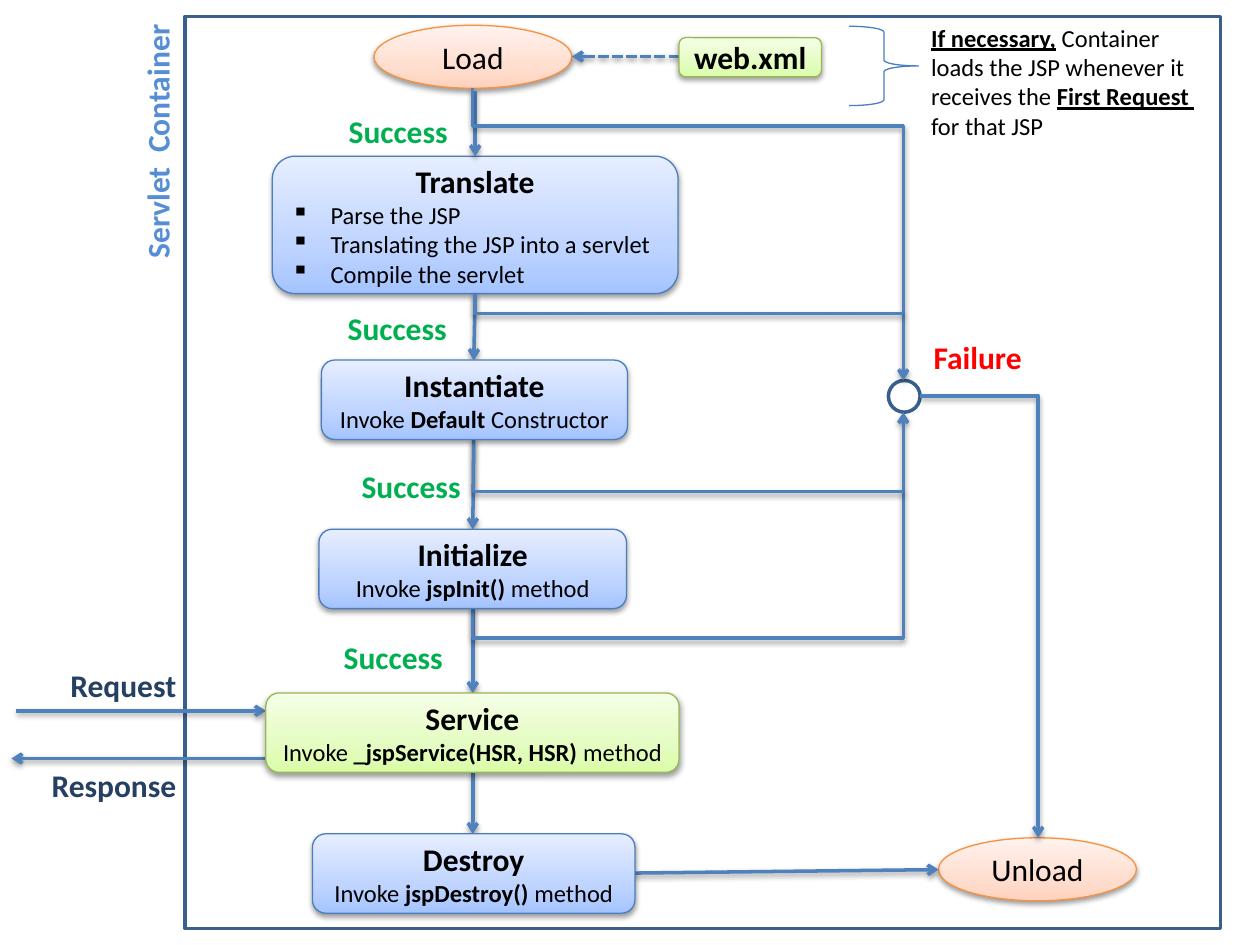
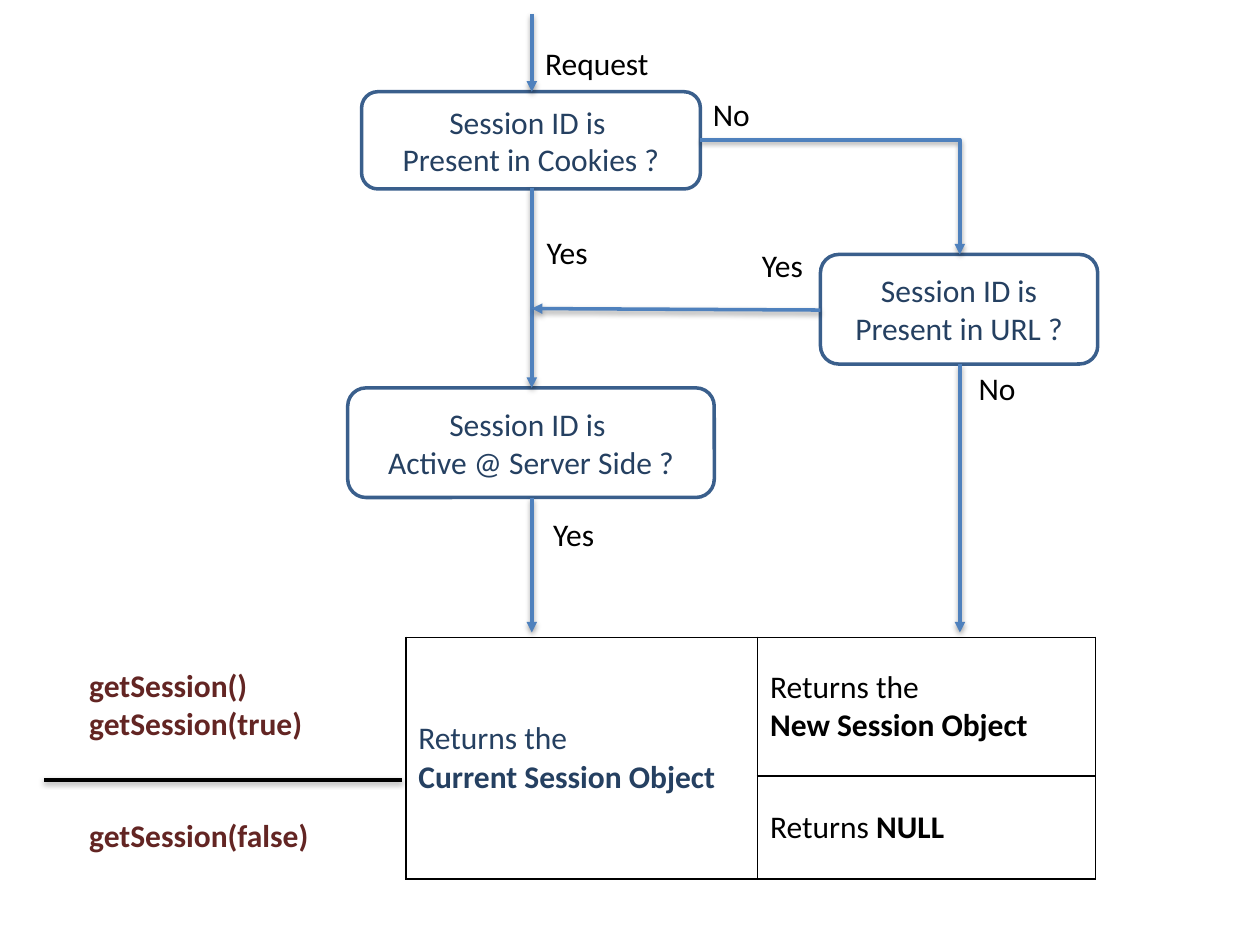
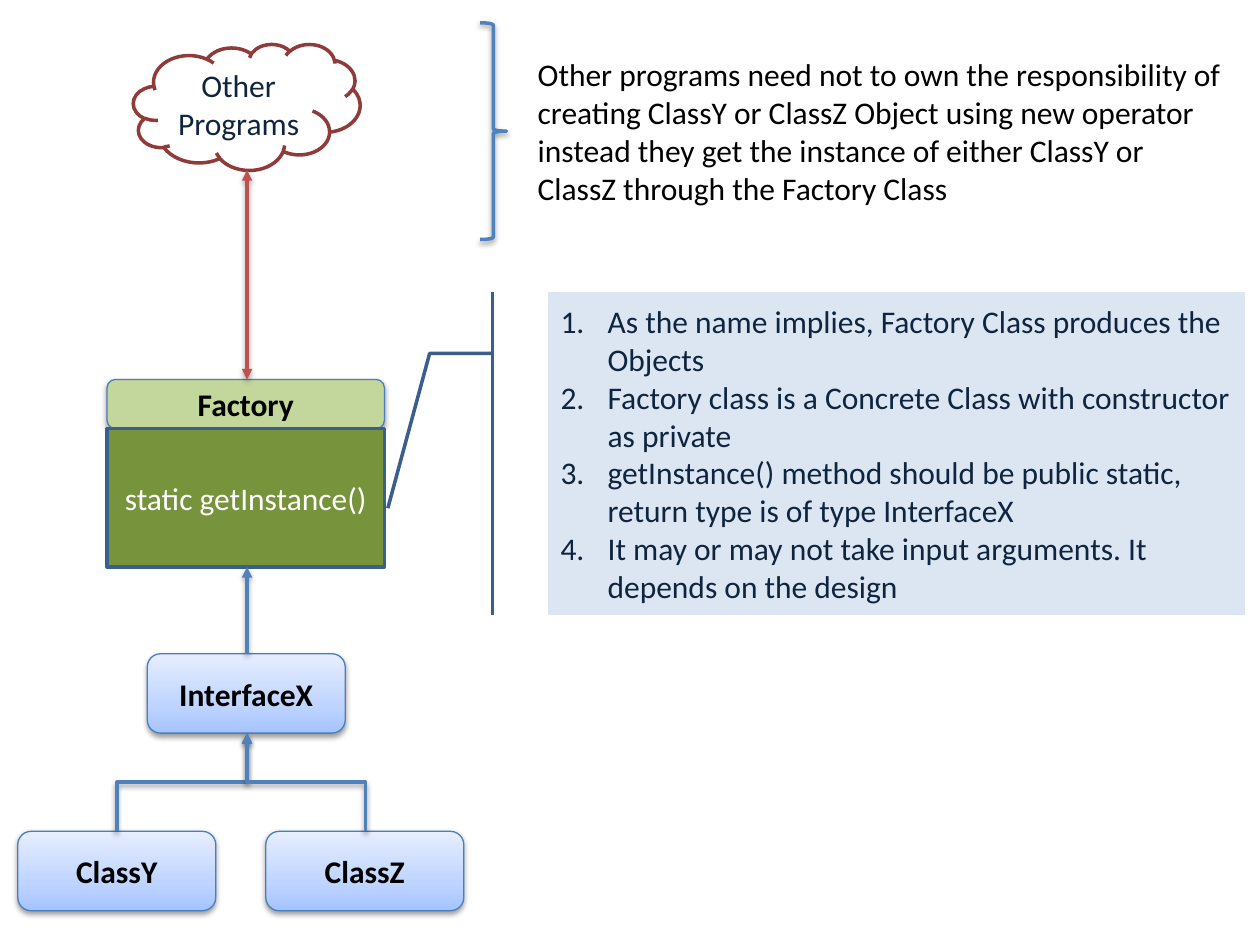
import copy

import lxml.etree
import pptx
import pptx.dml.color
import pptx.enum.dml
import pptx.enum.shapes
import pptx.enum.text
import pptx.oxml.ns
import pptx.util

Cm = pptx.util.Cm
Pt = pptx.util.Pt
Shape = pptx.enum.shapes.MSO_SHAPE
Link = pptx.enum.shapes.MSO_CONNECTOR
Align = pptx.enum.text.PP_ALIGN
qn = pptx.oxml.ns.qn

HUES = {
    "black": "000000", "white": "FFFFFF", "blue": "4F81BD", "edge": "3A5F8C",
    "thin": "4B7EBC", "sky": "558ED5", "navy": "254061", "ink": "0F243E",
    "red": "FF0000", "rose": "C0504D", "brick": "8E3B39", "wine": "632523",
    "green": "00B050", "lime": "98B955", "leaf": "C3D69B", "moss": "77933C",
    "peach": "F69240", "pale": "DCE6F2",
}
FADES = {
    "thin": ("A4C4FF", "BFD4FF", "E6EEFF"),
    "peach": ("FFD2BD", "FFDED0", "FFF2ED"),
    "lime": ("DAFDA7", "E4FCC2", "F5FFE7"),
}


def tint(name):
    return pptx.dml.color.RGBColor.from_string(HUES.get(name, name))


def child(node, tag, **attrs):
    return lxml.etree.SubElement(node, qn(tag), attrs)


class Deck:
    font = "Calibri"
    size = 18
    thick = 2

    def __init__(self):
        self.show = pptx.Presentation()
        self.show.slide_width = Cm(25.4)
        self.show.slide_height = Cm(19.05)
        self.slide = None

    def page(self):
        self.slide = self.show.slides.add_slide(self.show.slide_layouts[6])

    def put(self, frame, text, hue="black", size=None, bold=False,
            align=Align.LEFT, mark=None, under=False):
        for line in text.split("\n"):
            para = frame.add_paragraph() if frame.text else frame.paragraphs[0]
            para.alignment = align
            if mark:
                self.bullet(para, *mark)
            parts = line.split("|")
            for spot, part in enumerate(parts):
                if part:
                    run = para.add_run()
                    run.text = part
                    if len(parts) > 1:
                        run.font.bold = spot % 2 == 1
                        run.font.underline = under and spot % 2 == 1
            para.font.name = self.font
            para.font.size = Pt(size or self.size)
            para.font.color.rgb = tint(hue)
            if len(parts) == 1:
                para.font.bold = bold

    def bullet(self, para, indent, tag, attrs):
        props = para._p.get_or_add_pPr()
        props.set("marL", str(Cm(indent)))
        props.set("indent", str(-Cm(indent)))
        child(props, tag, **attrs)

    def shade(self, effect):
        glow = child(effect, "a:outerShdw", blurRad="40000", dist="20000",
                     dir="5400000", rotWithShape="0")
        child(child(glow, "a:srgbClr", val=HUES["black"]), "a:alpha", val="38000")

    def fade(self, shape, tones):
        shape.fill.gradient()
        shape.fill.gradient_angle = 90
        stops = shape._element.spPr.find(".//" + qn("a:gsLst"))
        stops.append(copy.deepcopy(stops[0]))
        for stop, tone, place in zip(shape.fill.gradient_stops, tones, (0, 0.35, 1)):
            stop.color.rgb = tint(tone)
            stop.position = place

    def form(self, kind, box, line="edge", width=None, fill=None, lift=False):
        shape = self.slide.shapes.add_shape(kind, *map(Cm, box))
        shape.shadow.inherit = False
        if lift:
            self.shade(shape._element.spPr.find(qn("a:effectLst")))
        if fill in FADES:
            self.fade(shape, FADES[fill])
        elif fill:
            shape.fill.solid()
            shape.fill.fore_color.rgb = tint(fill)
        else:
            shape.fill.background()
        shape.line.color.rgb = tint(line)
        shape.line.width = Pt(width or self.thick)
        shape.text_frame.word_wrap = True
        shape.text_frame.vertical_anchor = pptx.enum.text.MSO_ANCHOR.MIDDLE
        return shape

    def card(self, box, title, body=None, line="thin", fill="thin", mark=None):
        shape = self.form(Shape.FLOWCHART_ALTERNATE_PROCESS, box, line, 0.75, fill, True)
        self.put(shape.text_frame, title, bold=True, align=Align.CENTER)
        if body:
            self.put(shape.text_frame, body, size=14, mark=mark,
                     align=Align.LEFT if mark else Align.CENTER)

    def oval(self, left, top, text):
        shape = self.form(Shape.OVAL, (left, top, 3.99, 1.27), "peach", 0.75, "peach", True)
        self.put(shape.text_frame, text, align=Align.CENTER)

    def panel(self, kind, box, text, hue, **style):
        shape = self.form(kind, box, **style)
        self.put(shape.text_frame, text, hue, align=Align.CENTER)

    def label(self, box, text, hue="black", wrap=False, turn=0, **style):
        shape = self.slide.shapes.add_textbox(*map(Cm, box))
        shape.rotation = turn
        frame = shape.text_frame
        frame.word_wrap = wrap
        frame.auto_size = pptx.enum.text.MSO_AUTO_SIZE.SHAPE_TO_FIT_TEXT
        self.put(frame, text, hue, **style)

    def trim(self, link, hue, head, tail, dash=None):
        link.line.color.rgb = tint(hue)
        link.line.width = Pt(self.thick)
        if dash:
            link.line.dash_style = dash
        props = link._element.spPr
        for tag, tip in (("a:headEnd", head), ("a:tailEnd", tail)):
            if tip:
                child(props.find(qn("a:ln")), tag, type=tip)
        self.shade(child(props, "a:effectLst"))

    def line(self, start, end, tail="arrow", head=None, hue="blue", dash=None):
        link = self.slide.shapes.add_connector(Link.STRAIGHT, *map(Cm, start + end))
        self.trim(link, hue, head, tail, dash)

    def bend(self, start, end, tail="arrow", ratio=None, upright=True):
        (x, y), (right, low) = start, end
        wide, tall = abs(right - x), abs(low - y)
        if upright:
            wide, tall = tall, wide
        left, top = (x + right - wide) / 2, (y + low - tall) / 2
        link = self.slide.shapes.add_connector(
            Link.ELBOW, Cm(left), Cm(top), Cm(left + wide), Cm(top + tall))
        props = link._element.spPr
        if upright:
            east, north = right > x, low < y
            frame = props.find(qn("a:xfrm"))
            frame.set("rot", str(60000 * (90 if east and north else 270)))
            frame.set("flipH", str(int(east)))
            frame.set("flipV", str(int(north)))
        shape = props.find(qn("a:prstGeom"))
        if ratio is None:
            shape.set("prst", "bentConnector2")
        else:
            child(shape.find(qn("a:avLst")), "a:gd", name="adj1",
                  fmla=f"val {round(ratio * 100000)}")
        self.trim(link, "blue", None, tail)

    def table(self, left, top, cols, rows, texts):
        box = (left, top, sum(cols), sum(rows))
        grid = self.slide.shapes.add_table(len(rows), len(cols), *map(Cm, box)).table
        grid.first_row = grid.horz_banding = False
        for col, wide in zip(grid.columns, cols):
            col.width = Cm(wide)
        for row, tall in zip(grid.rows, rows):
            row.height = Cm(tall)
        grid.cell(0, 0).merge(grid.cell(1, 0))
        for cell in grid.iter_cells():
            cell.vertical_anchor = pptx.enum.text.MSO_ANCHOR.MIDDLE
            cell.fill.background()
            props = cell._tc.get_or_add_tcPr()
            for spot, side in enumerate("LRTB"):
                edge = child(props, f"a:ln{side}", w=str(Pt(1)))
                child(child(edge, "a:solidFill"), "a:srgbClr", val=HUES["black"])
                props.insert(spot, edge)
        for (row, col), (text, hue) in texts.items():
            self.put(grid.cell(row, col).text_frame, text, hue)


def cycle(deck):
    deck.page()
    deck.form(Shape.RECTANGLE, (3.73, 0.33, 20.88, 18.39))
    deck.label((0.53, 2.31, 5.28, 1.02), "Servlet  Container", "sky", turn=270, bold=True)
    deck.oval(7.54, 0.51, "Load")
    deck.oval(18.92, 16.89, "Unload")
    deck.card((5.49, 3.15, 8.18, 2.77), "Translate",
              "Parse the JSP\nTranslating the JSP into a servlet\nCompile the servlet",
              mark=(0.79, "a:buChar", {"char": "▪"}))
    deck.form(Shape.FLOWCHART_CONNECTOR, (17.91, 7.67, 0.64, 0.64), fill="white")

    mid, fail = 9.53, 18.21
    for start, end in (
        ((9.58, 1.83), (9.58, 3.15)),
        ((9.58, 5.92), (9.55, 7.26)),
        ((9.55, 8.86), (mid, 10.67)),
        ((mid, 12.24), (mid, 13.97)),
        ((mid, 15.54), (mid, 16.81)),
        ((12.78, 17.6), (18.92, 17.53)),
        ((0.33, 14.33), (5.36, 14.33)),
        ((5.36, 15.29), (0.23, 15.29)),
    ):
        deck.line(start, end)
    deck.line((13.69, 1.14), (11.53, 1.14), dash=pptx.enum.dml.MSO_LINE.SQUARE_DOT)
    deck.bend((mid, 1.78), (fail, 7.67), ratio=0.13)
    deck.bend((mid, 12.24), (fail, 8.31), ratio=-0.16)
    deck.bend((9.58, 5.92), (fail, 6.32), tail=None)
    deck.bend((9.55, 8.86), (fail, 9.91), tail=None)
    deck.bend((18.54, 7.98), (20.93, 16.89), upright=False)

    deck.card((6.48, 7.26, 6.17, 1.6), "Instantiate", "Invoke |Default |Constructor")
    deck.card((6.43, 10.67, 6.2, 1.6), "Initialize", "Invoke |jspInit() |method")
    deck.card((5.36, 13.97, 8.33, 1.6), "Service",
              "Invoke |_jspService(HSR, HSR)| method", "lime", "lime")
    deck.card((6.3, 16.81, 6.5, 1.6), "Destroy", "Invoke |jspDestroy() |method")
    deck.card((13.69, 0.76, 2.87, 0.79), "web.xml", None, "lime", "lime")
    deck.form(Shape.RIGHT_BRACE, (17.12, 0.53, 1.4, 1.6), "thin", 0.75)
    deck.label((18.52, 0.33, 5.87, 2.64),
               "|If necessary,| Container\nloads the JSP whenever it\n"
               "receives the |First Request |\nfor that JSP", size=14, under=True)
    for left, top in ((6.78, 2.13), (6.76, 6.1), (7.04, 9.3), (6.68, 12.73)):
        deck.label((left, top, 2.51, 1.02), "Success", "green", bold=True)
    deck.label((18.57, 6.68, 2.31, 1.02), "Failure", "red", bold=True)
    deck.label((1.17, 13.31, 2.67, 1.02), "Request", "navy", bold=True)
    deck.label((0.79, 15.32, 3.05, 1.02), "Response", "navy", bold=True)


def session(deck):
    deck.page()
    for box, text in (
        ((7.29, 1.85, 6.83, 1.96), "Session ID is \nPresent in Cookies ?"),
        ((16.54, 5.13, 5.59, 2.21), "Session ID is Present in URL ?"),
        ((7.01, 7.82, 7.39, 2.21), "Session ID is \nActive @ Server Side ?"),
    ):
        deck.panel(Shape.ROUNDED_RECTANGLE, box, text, "navy")
    for left, top, wide, text in (
        (10.74, 0.76, 2.62, "Request"),
        (10.77, 4.57, 1.35, "Yes"),
        (10.9, 10.26, 1.35, "Yes"),
        (15.11, 4.83, 1.35, "Yes"),
        (19.48, 7.32, 1.27, "No"),
        (14.12, 1.8, 1.27, "No"),
    ):
        deck.label((left, top, wide, 1.02), text)
    deck.table(8.18, 12.85, (7.09, 6.81), (2.79, 2.08), {
        (0, 0): ("Returns the\n|Current Session Object|", "navy"),
        (0, 1): ("Returns the\n|New Session Object|", "black"),
        (1, 1): ("Returns |NULL|", "black"),
    })
    main, side = 10.72, 19.35
    for x, top, low in (
        (main, 0.28, 1.85), (main, 3.78, 7.82), (main, 10.03, 12.75), (side, 7.34, 12.75),
    ):
        deck.line((x, top), (x, low), "triangle")
    deck.line((16.54, 6.25), (main, 6.22), "triangle")
    deck.bend((14.12, 2.82), (side, 5.13), "triangle", upright=False)
    deck.label((1.55, 13.31, 5.66, 1.8), "getSession()\ngetSession(true)", "wine",
               wrap=True, bold=True)
    deck.label((1.55, 16.33, 4.98, 1.02), "getSession(false)", "wine", bold=True)
    deck.line((0.89, 15.72), (8.1, 15.72), None, hue="black")


def factory(deck):
    deck.page()
    for left, top, name in (
        (0.36, 16.76, "ClassY"), (5.36, 16.76, "ClassZ"), (2.97, 13.18, "InterfaceX"),
    ):
        deck.card((left, top, 3.99, 1.6), name)
    mid = 4.98
    for x in (2.36, 7.37):
        deck.bend((x, 16.76), (mid, 14.78), "triangle", ratio=0.5)
    deck.card((2.16, 7.65, 5.59, 0.99), "Factory", fill="leaf")
    deck.panel(Shape.RECTANGLE, (2.16, 8.64, 5.59, 2.79), "static getInstance()",
               "white", fill="moss")
    deck.panel(Shape.CLOUD, (2.69, 0.89, 4.57, 2.54), "Other Programs", "ink", line="brick")
    note = deck.form(Shape.LINE_CALLOUT_2_ACCENT_BAR, (11.05, 5.89, 14.05, 6.5), fill="pale")
    for spot, ratio in enumerate((0.19, -0.08, 0.19, -0.17, 0.67, -0.23)):
        note.adjustments[spot] = ratio
    deck.put(note.text_frame,
             "As the name implies, Factory Class produces the Objects\n"
             "Factory class is a Concrete Class with constructor as private\n"
             "getInstance() method should be public static, "
             "return type is of type InterfaceX\n"
             "It may or may not take input arguments. It depends on the design",
             "ink", mark=(0.95, "a:buAutoNum", {"type": "arabicPeriod"}))
    deck.line((mid, 13.18), (mid, 11.43), "triangle")
    deck.line((mid, 3.43), (mid, 7.65), "triangle", "triangle", "rose")
    deck.form(Shape.RIGHT_BRACE, (9.68, 0.46, 0.53, 4.37), "blue", lift=True)
    deck.label((10.59, 0.99, 14.43, 3.33),
               "Other programs need not to own the responsibility of creating ClassY "
               "or ClassZ Object using new operator instead they get the instance of "
               "either ClassY or ClassZ through the Factory Class", wrap=True)


def main():
    deck = Deck()
    cycle(deck)
    session(deck)
    factory(deck)
    deck.show.save("out.pptx")


if __name__ == "__main__":
    main()
